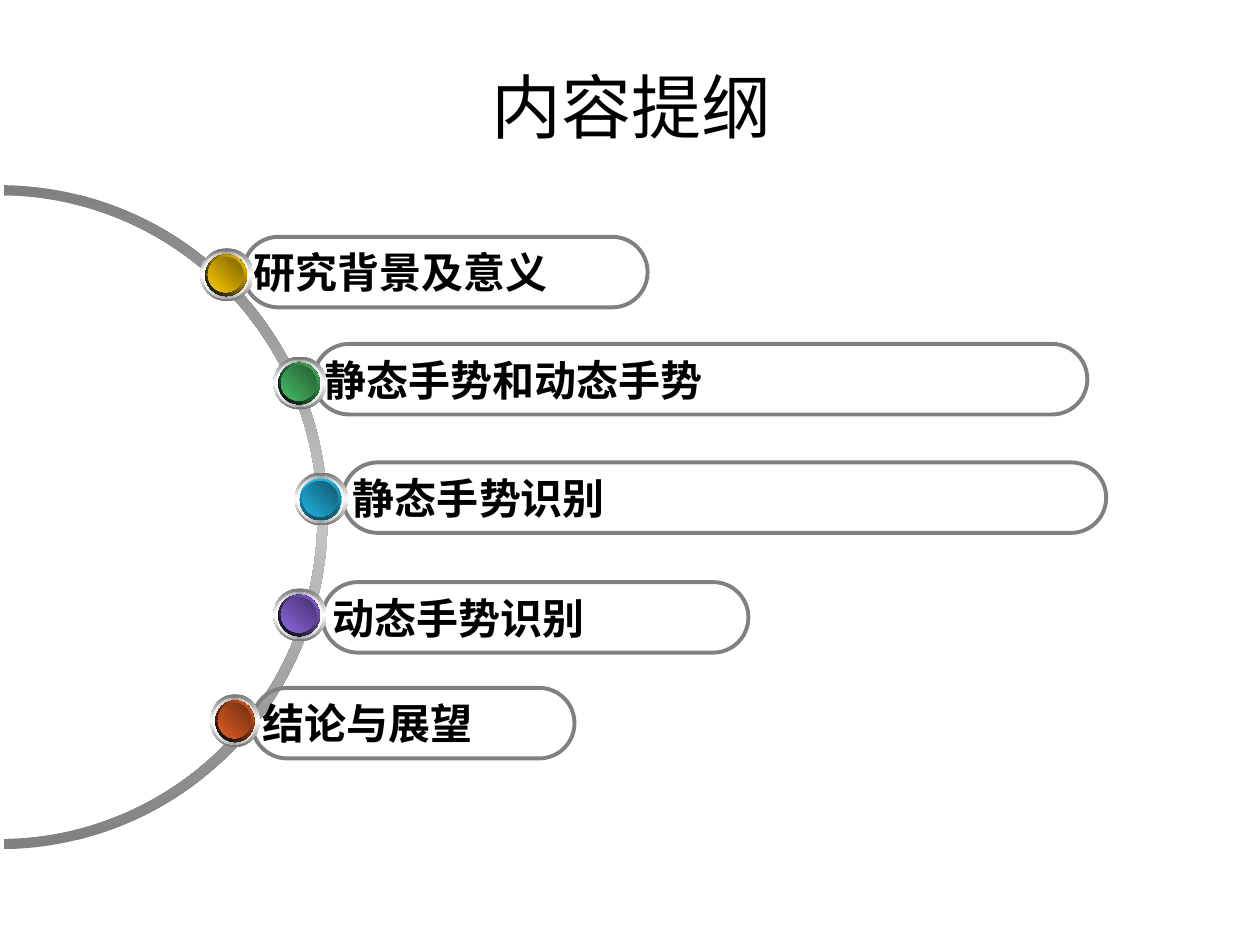
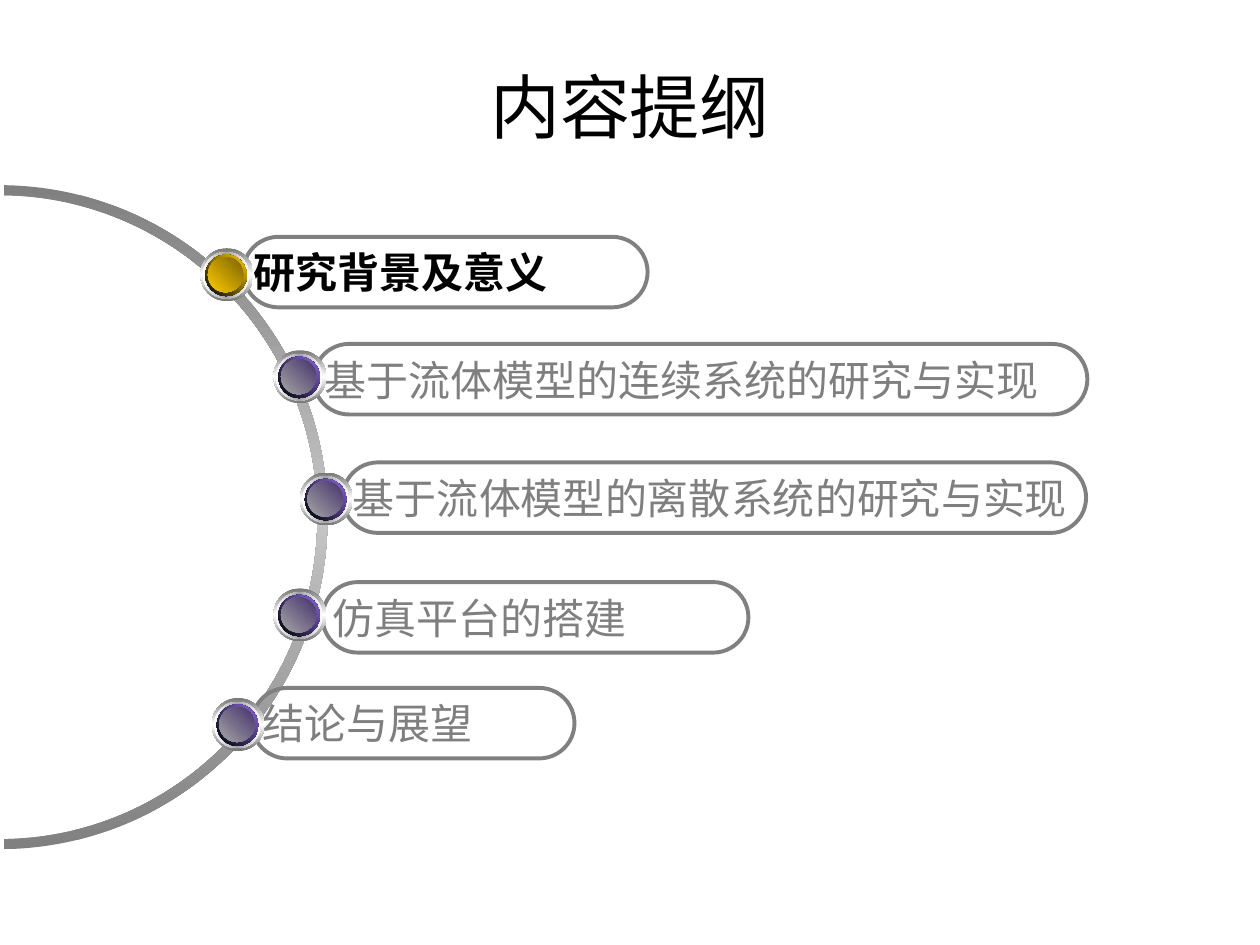
import pptx
import pptx.dml.color
import pptx.enum.shapes
import pptx.enum.text
import pptx.oxml
import pptx.oxml.ns
import pptx.slide
import pptx.util
from dataclasses import dataclass

RGBColor = pptx.dml.color.RGBColor
Shapes = pptx.enum.shapes.MSO_SHAPE
qn = pptx.oxml.ns.qn
DRAWING = pptx.oxml.ns.nsdecls("a")

PX = 9144  # EMU in one px, 100 px to the inch

# Colours
BLACK = RGBColor(0x00, 0x00, 0x00)
WHITE = RGBColor(0xFF, 0xFF, 0xFF)
OUTLINE_GREY = RGBColor(0x80, 0x80, 0x80)
MUTED_GREY = RGBColor(0x7F, 0x7F, 0x7F)
ARC_LIGHT = RGBColor(0xC5, 0xC5, 0xC5)
RING_DARK = RGBColor(0x76, 0x76, 0x76)
RING_MID = RGBColor(0xA2, 0xA2, 0xA2)
TEAL, DARK_TEAL = RGBColor(0x00, 0x99, 0x99), RGBColor(0x00, 0x53, 0x53)
YELLOW, DARK_YELLOW = RGBColor(0xFF, 0xCC, 0x00), RGBColor(0x7C, 0x63, 0x00)
GREEN, DARK_GREEN = RGBColor(0x48, 0xBE, 0x67), RGBColor(0x23, 0x5C, 0x32)
BLUE, DARK_BLUE = RGBColor(0x21, 0xB3, 0xE1), RGBColor(0x10, 0x57, 0x6D)
RIM_BLUE = RGBColor(0x0F, 0x53, 0x68)
PURPLE, DARK_PURPLE = RGBColor(0x8D, 0x67, 0xE1), RGBColor(0x45, 0x32, 0x6D)
ORANGE, DARK_ORANGE = RGBColor(0xE3, 0x5E, 0x23), RGBColor(0x6E, 0x2E, 0x11)
CORE_GREY = RGBColor(0xA6, 0xA6, 0xA6)

LATIN_FONT = "Arial"
CHINESE_FONT = "Noto Sans CJK SC"
TITLE = "内容提纲"


@dataclass(frozen=True)
class Gradient:
    """Evenly spaced colours along a clockwise angle in degrees."""
    colours: tuple[RGBColor, ...]
    angle: int


@dataclass(frozen=True)
class BallLook:
    rim: Gradient
    core: Gradient


@dataclass(frozen=True)
class Topic:
    label: str
    pill_width: int
    ball_left: int
    ball_top: int
    look: BallLook
    active: bool = True
    ball_width: int = 42


@dataclass(frozen=True)
class Outline:
    title_left: int
    topics: tuple[Topic, ...]


def glossy(bright: RGBColor, dark: RGBColor) -> BallLook:
    return BallLook(Gradient((BLACK, bright), 315), Gradient((bright, dark), 315))


ARC_FILL = Gradient((OUTLINE_GREY, ARC_LIGHT, OUTLINE_GREY), 90)
OUTER_RING = Gradient((RING_DARK, WHITE, RING_DARK), 90)
INNER_RING = Gradient((WHITE, RING_MID, WHITE), 0)
RIM_FRINGE = Gradient((TEAL, WHITE, TEAL), 315)
CORE_FRINGE = Gradient((TEAL, DARK_TEAL, TEAL), 45)
YELLOW_BALL = glossy(YELLOW, DARK_YELLOW)
GREEN_BALL = glossy(GREEN, DARK_GREEN)
BLUE_BALL = BallLook(Gradient((BLUE, RIM_BLUE), 90), Gradient((BLUE, DARK_BLUE), 315))
PURPLE_BALL = glossy(PURPLE, DARK_PURPLE)
ORANGE_BALL = glossy(ORANGE, DARK_ORANGE)
MUTED_BALL = BallLook(PURPLE_BALL.rim, Gradient((CORE_GREY, DARK_PURPLE), 315))

# Arc outline: each step is one point (line) or three points (curve)
ARC_START = (3, 155)
ARC_STEPS = (
    ((142, 157), (252, 271), (252, 410)),
    ((252, 550), (142, 664), (3, 666)),
    ((3, 674),),
    ((146, 672), (260, 555), (260, 410)),
    ((260, 266), (146, 149), (3, 147)),
)

# Left and top of the five pills, the same on every slide
PILL_PLACES = ((193, 188), (249, 273), (272, 367), (256, 462), (200, 546))
PILL_HEIGHT = 56
BALL_SIZE = 42

OUTLINES = (
    Outline(51, (
        Topic("研究背景及意义", 321, 159, 197, YELLOW_BALL),
        Topic("静态手势和动态手势", 614, 217, 283, GREEN_BALL),
        Topic("静态手势识别", 606, 234, 375, BLUE_BALL),
        Topic("动态手势识别", 338, 217, 467, PURPLE_BALL),
        Topic("结论与展望", 256, 167, 551, ORANGE_BALL, ball_width=39),
    )),
    Outline(50, (
        Topic("研究背景及意义", 321, 159, 197, YELLOW_BALL),
        Topic("基于流体模型的连续系统的研究与实现", 614, 217, 278, MUTED_BALL, False),
        Topic("基于流体模型的离散系统的研究与实现", 590, 238, 375, MUTED_BALL, False),
        Topic("仿真平台的搭建", 338, 217, 467, MUTED_BALL, False),
        Topic("结论与展望", 256, 168, 554, MUTED_BALL, False),
    )),
)


def px(*lengths: int) -> list[pptx.util.Emu]:
    return [pptx.util.Emu(length * PX) for length in lengths]


def fill_gradient(shape, gradient: Gradient) -> None:
    shape.shadow.inherit = False
    shape.line.fill.background()
    shape.fill.gradient()
    stops = shape.fill._fill._gradFill.find(qn("a:gsLst"))
    for stop in list(stops):
        stops.remove(stop)
    for index, colour in enumerate(gradient.colours):
        position = 100000 * index // (len(gradient.colours) - 1)
        stops.append(pptx.oxml.parse_xml(
            f'<a:gs {DRAWING} pos="{position}"><a:srgbClr val="{colour}"/></a:gs>'))
    # The public angle runs counter-clockwise
    shape.fill.gradient_angle = -gradient.angle % 360


def add_span(para, text: str, size: int, colour: RGBColor, latin: str, bold: bool) -> None:
    span = para.add_run()
    span.text = text
    span.font.size = pptx.util.Pt(size)
    span.font.bold = bold
    span.font.color.rgb = colour
    span.font.name = latin
    span._r.get_or_add_rPr().append(pptx.oxml.parse_xml(
        f'<a:ea {DRAWING} typeface="{CHINESE_FONT}"/>'))


def add_title(page: pptx.slide.Slide, left: int) -> None:
    box = page.shapes.title
    box.left, box.top, box.width, box.height = px(left, 52, 900, 64)
    box.text_frame.vertical_anchor = pptx.enum.text.MSO_ANCHOR.MIDDLE
    para = box.text_frame.paragraphs[0]
    para.alignment = pptx.enum.text.PP_ALIGN.CENTER
    add_span(para, TITLE, 40, BLACK, CHINESE_FONT, False)


def add_arc(page: pptx.slide.Slide) -> None:
    """Half ring opening to the left edge."""
    builder = page.shapes.build_freeform(*ARC_START, scale=PX)
    builder.add_line_segments([point for step in ARC_STEPS for point in step], close=True)
    arc = builder.convert_to_shape()
    # Join each three-point step into one curve
    lines = iter(list(arc._element.iter(qn("a:lnTo"))))
    for step in ARC_STEPS:
        parts = [next(lines) for _ in step]
        if len(parts) == 3:
            curve = pptx.oxml.parse_xml(f"<a:cubicBezTo {DRAWING}/>")
            parts[0].addprevious(curve)
            for part in parts:
                curve.append(part[0])
                part.getparent().remove(part)
    fill_gradient(arc, ARC_FILL)


def add_pill(page: pptx.slide.Slide, topic: Topic, left: int, top: int) -> None:
    pill = page.shapes.add_shape(
        Shapes.ROUNDED_RECTANGLE, *px(left, top, topic.pill_width, PILL_HEIGHT))
    pill.adjustments[0] = 0.5
    pill.shadow.inherit = False
    pill.fill.background()
    pill.line.color.rgb = OUTLINE_GREY
    pill.line.width = pptx.util.Pt(2.25)
    frame = pill.text_frame
    frame.word_wrap = False
    frame.vertical_anchor = pptx.enum.text.MSO_ANCHOR.MIDDLE
    frame.margin_left, frame.margin_top, frame.margin_right, frame.margin_bottom = px(0, 5, 10, 5)
    para = frame.paragraphs[0]
    para.alignment = pptx.enum.text.PP_ALIGN.LEFT
    colour = BLACK if topic.active else MUTED_GREY
    add_span(para, topic.label, 24, colour, LATIN_FONT, topic.active)


def add_ball(page: pptx.slide.Slide, topic: Topic) -> None:
    # Horizontal inset, vertical inset, size and fills, from the outside in
    layers = ((0, 0, BALL_SIZE, (OUTER_RING,)), (2, 3, 37, (INNER_RING,)),
              (4, 5, 33, (RIM_FRINGE, topic.look.rim)),
              (6, 7, 28, (CORE_FRINGE, topic.look.core)))
    for inset_x, inset_y, size, gradients in layers:
        width = round(size * topic.ball_width / BALL_SIZE)
        place = px(topic.ball_left + inset_x, topic.ball_top + inset_y, width, size)
        for gradient in gradients:
            fill_gradient(page.shapes.add_shape(Shapes.OVAL, *place), gradient)


def add_outline(deck, outline: Outline) -> None:
    page = deck.slides.add_slide(deck.slide_layouts.get_by_name("Title Only"))
    add_title(page, outline.title_left)
    add_arc(page)
    for topic, (left, top) in zip(outline.topics, PILL_PLACES):
        add_pill(page, topic, left, top)
    for topic in outline.topics:
        add_ball(page, topic)


def main() -> None:
    deck = pptx.Presentation()
    deck.slide_width, deck.slide_height = px(1000, 750)
    for outline in OUTLINES:
        add_outline(deck, outline)
    deck.save("out.pptx")


if __name__ == "__main__":
    main()
